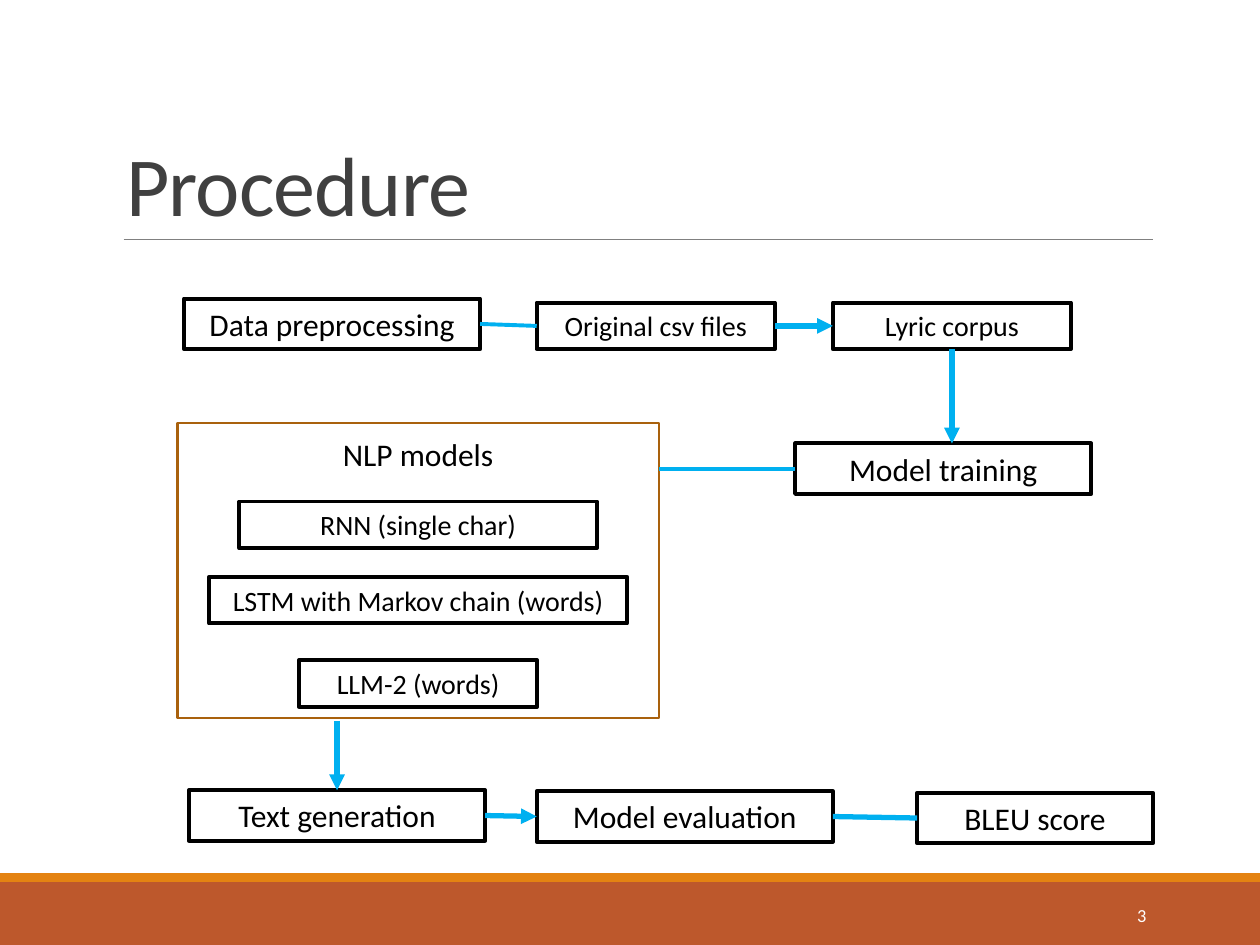
from lxml import etree
from pptx import Presentation
from pptx.dml.color import RGBColor
from pptx.enum.shapes import MSO_CONNECTOR as Connector, MSO_SHAPE as Shape
from pptx.enum.text import MSO_ANCHOR as Anchor, PP_ALIGN as Align
from pptx.oxml.ns import qn
from pptx.util import Cm, Pt

# Content: name -> (text, left, top, width, level), lengths in cm
TITLE, PAGE_NUMBER = "Procedure", "3"
STEPS = {
    "preprocessing": ("Data preprocessing", 3.71, 6.02, 5.97, "step"),
    "files": ("Original csv files", 10.82, 6.1, 4.8, "detail"),
    "corpus": ("Lyric corpus", 16.79, 6.1, 4.8, "detail"),
    "training": ("Model training", 16.03, 8.94, 5.97, "step"),
    "generation": ("Text generation", 3.81, 15.93, 5.97, "step"),
    "evaluation": ("Model evaluation", 10.82, 15.95, 5.97, "step"),
    "score": ("BLEU score", 18.49, 15.98, 4.75, "step"),
}
MODELS_HEADING = "NLP models"
MODELS = [  # text, top, width
    ("RNN (single char)", 10.11, 7.21),
    ("LSTM with Markov chain (words)", 11.63, 8.43),
    ("LLM-2 (words)", 13.31, 4.8),
]
FRAME = (3.58, 8.53, 9.7, 5.94)
ROW_LINKS = [  # from, to, line width, arrow
    ("preprocessing", "files", 2.25, False),
    ("files", "corpus", 3, True),
    ("generation", "evaluation", 3, True),
    ("evaluation", "score", 3, False),
]

THEME = {
    "font": "Calibri",
    "title": 48, "step": 18, "detail": 16, "number": 10.5,
    "text": "000000", "title_text": "404040", "number_text": "FFFFFF",
    "outline": "000000", "frame": "A9610D", "link": "00B0F0",
    "rule": "808080", "band": "BD582C", "stripe": "E48312",
}
HEIGHTS = {"step": 1.02, "detail": 0.94}
TOP, LEFT, BOTTOM, RIGHT = range(4)  # connection sites of a rectangle


def color(name):
    return RGBColor.from_string(THEME[name])


def write(shape, text, size, ink="text", align=Align.CENTER, anchor=Anchor.TOP, wrap=True):
    frame = shape.text_frame
    frame.word_wrap, frame.vertical_anchor = wrap, anchor
    para = frame.paragraphs[0]
    para.alignment = align
    span = para.add_run()
    span.text = text
    for key, value in {"name": THEME["font"], "size": Pt(THEME[size])}.items():
        setattr(span.font, key, value)
    span.font.color.rgb = color(ink)
    return para, span


def add_box(parent, area, fill=None, outline=None, weight=2.25):
    box = parent.add_shape(Shape.RECTANGLE, *map(Cm, area))
    box.shadow.inherit = False
    if fill:
        box.fill.solid()
        box.fill.fore_color.rgb = color(fill)
    else:
        box.fill.background()
    if outline:
        box.line.color.rgb = color(outline)
        box.line.width = Pt(weight)
    else:
        box.line.fill.background()
    return box


def add_line(ends, ink, weight, arrow=False):
    line = page.shapes.add_connector(Connector.STRAIGHT, *ends)
    line.line.color.rgb = color(ink)
    line.line.width = Pt(weight)
    if arrow:
        etree.SubElement(line.line._get_or_add_ln(), qn("a:tailEnd"), type="triangle")
    etree.SubElement(line._element.spPr, qn("a:effectLst"))
    return line


deck = Presentation()
deck.slide_width, deck.slide_height = Cm(25.4), Cm(19.05)
page = deck.slides.add_slide(deck.slide_layouts[5])

# Footer bands, title and rule
add_box(page.shapes, (0, 17.78, 25.4, 1.27), fill="band")
add_box(page.shapes, (0, 17.6, 25.4, 0.18), fill="stripe")
add_line(map(Cm, (2.49, 4.83, 23.24, 4.83)), "rule", 0.5)
title = page.shapes.title
title.left, title.top, title.width, title.height = map(Cm, (2.29, 0.79, 20.96, 4.04))
para, span = write(title, TITLE, "title", "title_text", Align.LEFT, Anchor.BOTTOM)
para.line_spacing = 0.85
span.font._element.set("spc", "-50")
number = page.shapes.add_textbox(*map(Cm, (20.62, 17.93, 2.74, 1.02)))
write(number, PAGE_NUMBER, "number", "number_text", Align.RIGHT, Anchor.MIDDLE)

# Process steps
boxes = {}
for name, (text, left, top, width, level) in STEPS.items():
    boxes[name] = add_box(page.shapes, (left, top, width, HEIGHTS[level]), outline="outline")
    write(boxes[name], text, level)

# Models, centred in their frame
group = page.shapes.add_group_shape().shapes
models = add_box(group, FRAME, outline="frame", weight=1.25)
center = FRAME[0] + FRAME[2] / 2
heading = group.add_textbox(*map(Cm, (center - 1.79, 8.64, 3.58, HEIGHTS["step"])))
write(heading, MODELS_HEADING, "step", wrap=False)
for text, top, width in MODELS:
    area = (center - width / 2, top, width, HEIGHTS["detail"])
    write(add_box(group, area, outline="outline"), text, "detail")

# Links along the rows
for start, end, weight, arrow in ROW_LINKS:
    link = add_line((0, 0, 0, 0), "link", weight, arrow)
    link.begin_connect(boxes[start], RIGHT)
    link.end_connect(boxes[end], LEFT)

# Links between the rows
corpus, training, generation = (boxes[n] for n in ("corpus", "training", "generation"))
corpus_x = corpus.left + corpus.width // 2
training_y = training.top + training.height // 2
generation_x = generation.left + generation.width // 2
add_line((corpus_x, corpus.top + corpus.height, corpus_x, training.top), "link", 3, True)
add_line((models.left + models.width, training_y, training.left, training_y), "link", 2.25)
add_line((generation_x, Cm(14.53), generation_x, generation.top), "link", 3, True)

deck.save("out.pptx")
